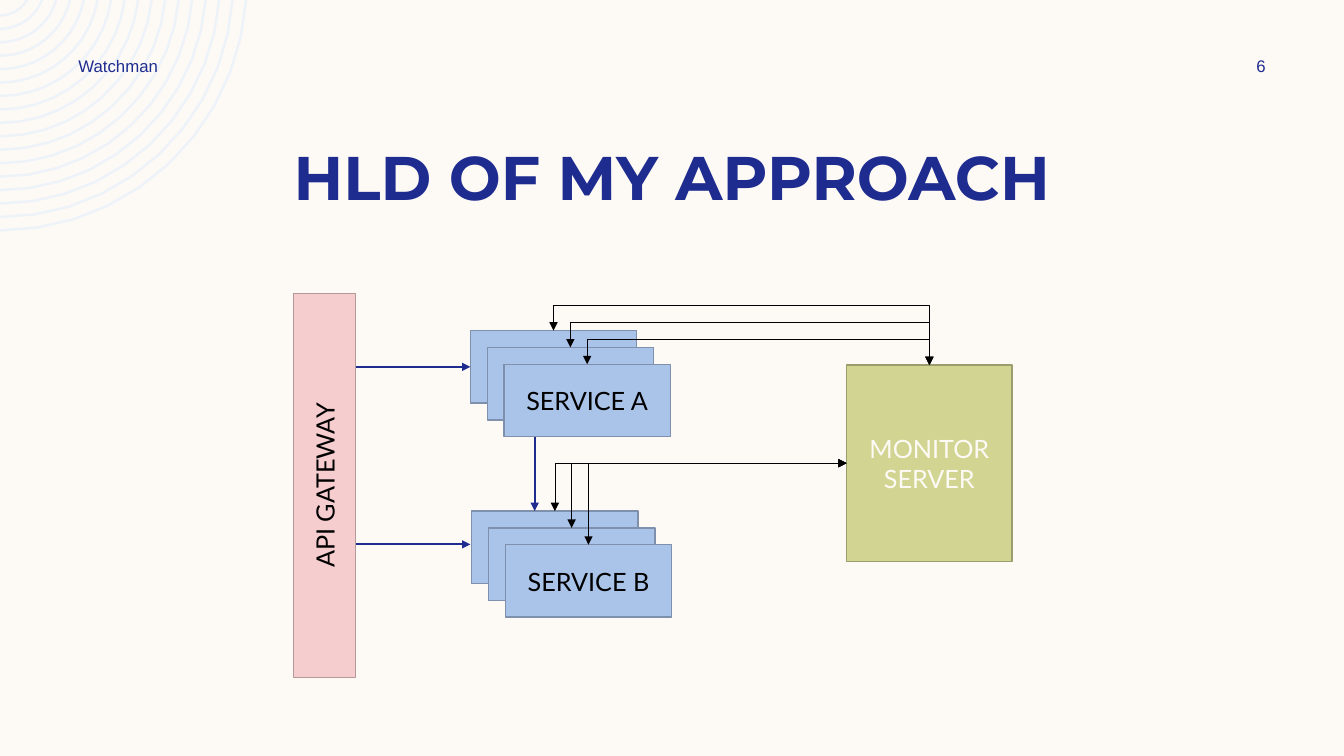
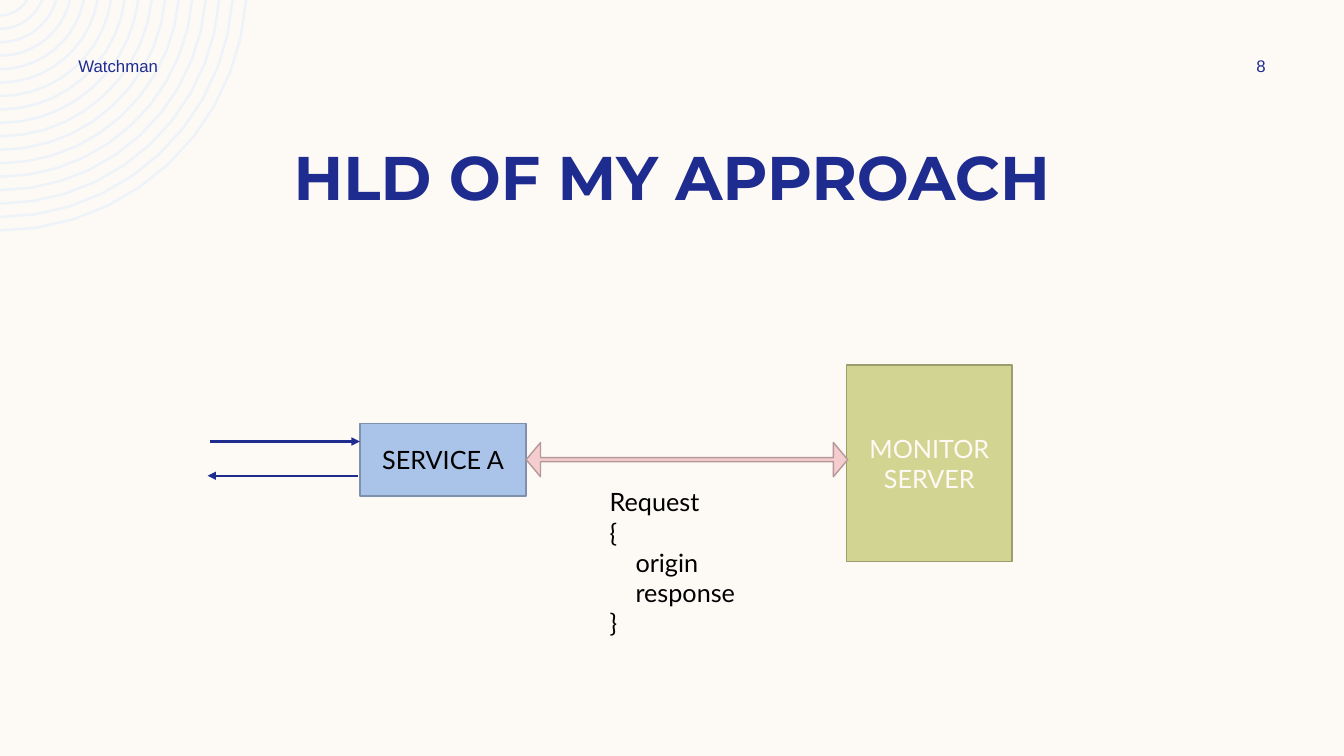
from dataclasses import dataclass
from math import asin, cos, pi, sin
from typing import Optional

from lxml import etree
from pptx import Presentation
from pptx import util as u
from pptx.dml.color import RGBColor
from pptx.enum import shapes, text
from pptx.oxml.ns import qn

COLUMNS, ROWS = 80, 45
CELL = u.Inches(1 / 6)


@dataclass(frozen=True)
class Theme:
    paper: str = "FDFAF6"
    navy: str = "1F2C8F"
    black: str = "000000"
    ring: str = "EEF3FA"
    pink: str = "F5CDCE"
    pink_edge: str = "B59898"
    blue: str = "AAC3E8"
    blue_edge: str = "7E90AC"
    olive: str = "D2D592"
    olive_edge: str = "9B9E6C"
    title_font: str = "Montserrat"
    header_font: str = "Arial"
    body_font: str = "Lato"
    title_size: float = 44
    header_size: float = 12
    body_size: float = 18
    edge: float = 1
    flow: float = 1.5
    thin: float = 0.5
    ring_line: float = 1.8


THEME = Theme()


@dataclass(frozen=True)
class Area:
    """Left, top, width and height in grid cells."""
    left: float
    top: float
    width: float
    height: float

    def lengths(self) -> tuple:
        return tuple(grid(n) for n in (self.left, self.top, self.width, self.height))


@dataclass(frozen=True)
class TextStyle:
    font: str
    size: float
    color: str
    bold: bool = False
    align: text.PP_ALIGN = text.PP_ALIGN.CENTER
    anchor: text.MSO_ANCHOR = text.MSO_ANCHOR.MIDDLE


@dataclass(frozen=True)
class Block:
    area: Area
    fill: str
    edge: str
    label: str = ""
    label_color: str = THEME.black
    kind: shapes.MSO_SHAPE = shapes.MSO_SHAPE.RECTANGLE


@dataclass(frozen=True)
class Flow:
    """A straight arrow between two grid points."""
    start: tuple
    end: tuple


@dataclass(frozen=True)
class Stack:
    label: str
    left: float
    top: float
    cards: int = 3
    step: float = 1


TITLE = "HLD OF MY APPROACH"
TITLE_AREA = Area(5, 8, 70, 5.04)
PROJECT_AREA = Area(4.08, 3, 21, 1.8)
NUMBER_AREA = Area(71.82, 3, 6.48, 1.8)
TITLE_STYLE = TextStyle(THEME.title_font, THEME.title_size, THEME.navy, True,
                        anchor=text.MSO_ANCHOR.TOP)
PROJECT_STYLE = TextStyle(THEME.header_font, THEME.header_size, THEME.navy,
                          align=text.PP_ALIGN.LEFT)
NUMBER_STYLE = TextStyle(THEME.header_font, THEME.header_size, THEME.navy)
REQUEST_STYLE = TextStyle(THEME.body_font, THEME.body_size, THEME.black,
                          align=text.PP_ALIGN.LEFT, anchor=text.MSO_ANCHOR.TOP)

RING_COUNT, RING_RADIUS, RING_PITCH = 17, 14.68, 0.8
RING_CENTER = -0.96
ARC_STEPS = 10

GATEWAY = Block(Area(17.46, 17.46, 3.72, 22.86), THEME.pink, THEME.pink_edge, "API GATEWAY")
MONITOR = Block(Area(50.4, 21.72, 9.84, 11.7), THEME.olive, THEME.olive_edge,
                "MONITOR SERVER", THEME.paper)
EXCHANGE = Block(Area(31.32, 26.34, 19.14, 2.04), THEME.pink, THEME.pink_edge,
                 kind=shapes.MSO_SHAPE.LEFT_RIGHT_ARROW)
STACK_A = Stack("SERVICE A", 28, 19.68)
STACK_B = Stack("SERVICE B", 28.08, 30.42)
GATEWAY_FLOWS = (
    Flow((21.18, 21.84), (28, 21.84)),
    Flow((21.18, 32.4), (28, 32.4)),
    Flow((31.83, 26), (31.83, 30.42)),
)
SERVICE_FLOWS = (
    Flow((12.48, 26.28), (21.42, 26.28)),
    Flow((21.3, 28.32), (12.36, 28.32)),
)
LOOP_RISE = 1.5
REQUEST_AREA = Area(35.7, 28.68, 9.84, 9.72)
REQUEST_LINES = ("Request", "{", "origin", "response", "}")
REQUEST_FIELDS = ("origin", "response")
FIELD_INDENT = 1.54


def grid(cells: float) -> int:
    return round(cells * CELL)


def rgb(color: str) -> RGBColor:
    return RGBColor.from_string(color)


def write(shape, content: str, style: TextStyle) -> None:
    frame = shape.text_frame
    frame.word_wrap = True
    frame.vertical_anchor = style.anchor
    frame.text = content
    for paragraph in frame.paragraphs:
        paragraph.alignment = style.align
        for run in paragraph.runs:
            run.font.name = style.font
            run.font.size = u.Pt(style.size)
            run.font.bold = style.bold
            run.font.color.rgb = rgb(style.color)


def add_text(slide, area: Area, content: str, style: TextStyle):
    shape = slide.shapes.add_textbox(*area.lengths())
    write(shape, content, style)
    return shape


def add_block(slide, block: Block):
    shape = slide.shapes.add_shape(block.kind, *block.area.lengths())
    shape.shadow.inherit = False
    shape.fill.solid()
    shape.fill.fore_color.rgb = rgb(block.fill)
    shape.line.color.rgb = rgb(block.edge)
    shape.line.width = u.Pt(THEME.edge)
    if block.label:
        write(shape, block.label,
              TextStyle(THEME.body_font, THEME.body_size, block.label_color))
    return shape


def service(left: float, top: float, label: str = "") -> Block:
    return Block(Area(left, top, 9.9, 4.32), THEME.blue, THEME.blue_edge, label)


def add_stack(slide, stack: Stack) -> list:
    """Draw overlapping cards from back to front; only the front one is labelled."""
    front = stack.cards - 1
    return [add_block(slide, service(stack.left + i * stack.step, stack.top + i * stack.step,
                                     stack.label if i == front else ""))
            for i in range(stack.cards)]


def style_connector(connector, color: str, width: float, both_ends: bool) -> None:
    connector.line.color.rgb = rgb(color)
    connector.line.width = u.Pt(width)
    line = connector.line._get_or_add_ln()
    for end in ("a:headEnd", "a:tailEnd") if both_ends else ("a:tailEnd",):
        etree.SubElement(line, qn(end), type="triangle")
    etree.SubElement(connector.element.spPr, qn("a:effectLst"))


def add_flow(slide, flow: Flow) -> None:
    ends = [grid(n) for n in flow.start + flow.end]
    connector = slide.shapes.add_connector(shapes.MSO_CONNECTOR.STRAIGHT, *ends)
    style_connector(connector, THEME.navy, THEME.flow, False)


def add_elbow(slide, start, start_site: int, end, end_site: int, width: float):
    connector = slide.shapes.add_connector(shapes.MSO_CONNECTOR.ELBOW, 0, 0, 0, 0)
    connector.begin_connect(start, start_site)
    connector.end_connect(end, end_site)
    style_connector(connector, THEME.black, width, True)
    return connector


def add_loop(slide, card, monitor) -> None:
    """Join two top edges by a line that rises above the card."""
    connector = add_elbow(slide, card, 0, monitor, 0, THEME.edge)
    across = connector.end_x - connector.begin_x
    down = max(connector.end_y - connector.begin_y, grid(0.06))
    middle_x = connector.begin_x + across // 2
    middle_y = connector.begin_y + down // 2
    connector.left, connector.top = middle_x - down // 2, middle_y - across // 2
    connector.width, connector.height = down, across
    transform = connector.element.spPr.find(qn("a:xfrm"))
    transform.attrib.pop("flipV", None)
    transform.set("rot", str(270 * 60000))
    transform.set("flipH", "1")
    bend = round(-grid(LOOP_RISE) / down * 100000)
    set_geometry(connector, "bentConnector3", bend)


def add_drop(slide, monitor, card) -> None:
    """Join the monitor's left edge to a card's top edge with a single bend."""
    connector = add_elbow(slide, monitor, 1, card, 0, THEME.thin)
    set_geometry(connector, "bentConnector2")


def set_geometry(connector, preset: str, bend: Optional[int] = None) -> None:
    geometry = connector.element.spPr.find(qn("a:prstGeom"))
    geometry.set("prst", preset)
    if bend is not None:
        guides = geometry.find(qn("a:avLst"))
        if guides is None:
            guides = etree.SubElement(geometry, qn("a:avLst"))
        etree.SubElement(guides, qn("a:gd"), name="adj1", fmla=f"val {bend}")


def arc(radius: float) -> list:
    """Points from the slide's top edge round to its left edge."""
    first = asin(-RING_CENTER / radius)
    angles = [first + (pi / 2 - first) * i / ARC_STEPS for i in range(ARC_STEPS + 1)]
    return [(grid(radius * cos(a)), grid(RING_CENTER + radius * sin(a))) for a in angles]


def add_rings(slide) -> None:
    arcs = [arc(RING_RADIUS - i * RING_PITCH) for i in range(RING_COUNT)]
    builder = slide.shapes.build_freeform(*arcs[0][0], scale=1.0)
    for points in arcs:
        builder.move_to(*points[0])
        builder.add_line_segments(points[1:], close=False)
    shape = builder.convert_to_shape()
    shape.shadow.inherit = False
    shape.fill.background()
    shape.line.color.rgb = rgb(THEME.ring)
    shape.line.width = u.Pt(THEME.ring_line)


def add_page(presentation, number: int):
    slide = presentation.slides.add_slide(presentation.slide_layouts[6])
    slide.background.fill.solid()
    slide.background.fill.fore_color.rgb = rgb(THEME.paper)
    add_rings(slide)
    add_text(slide, TITLE_AREA, TITLE, TITLE_STYLE)
    add_text(slide, PROJECT_AREA, "Watchman", PROJECT_STYLE)
    add_text(slide, NUMBER_AREA, str(number), NUMBER_STYLE)
    return slide


def add_overview(presentation) -> None:
    slide = add_page(presentation, 6)
    gateway = add_block(slide, GATEWAY)
    gateway.element.txBody.bodyPr.set("vert", "vert270")
    cards_a = add_stack(slide, STACK_A)
    cards_b = add_stack(slide, STACK_B)
    monitor = add_block(slide, MONITOR)
    for flow in GATEWAY_FLOWS:
        add_flow(slide, flow)
    for card in cards_a:
        add_loop(slide, card, monitor)
    for card in cards_b:
        add_drop(slide, monitor, card)


def add_request_detail(presentation) -> None:
    slide = add_page(presentation, 8)
    add_block(slide, service(21.42, 25.2, "SERVICE A"))
    add_block(slide, MONITOR)
    for flow in SERVICE_FLOWS:
        add_flow(slide, flow)
    request = add_text(slide, REQUEST_AREA, "\n".join(REQUEST_LINES), REQUEST_STYLE)
    for paragraph in request.text_frame.paragraphs:
        if paragraph.text in REQUEST_FIELDS:
            paragraph._p.get_or_add_pPr().set("marL", str(grid(FIELD_INDENT)))
    exchange = add_block(slide, EXCHANGE)
    exchange.adjustments[0], exchange.adjustments[1] = 0.12, 0.42


def main() -> None:
    presentation = Presentation()
    presentation.slide_width, presentation.slide_height = grid(COLUMNS), grid(ROWS)
    add_overview(presentation)
    add_request_detail(presentation)
    presentation.save("out.pptx")


if __name__ == "__main__":
    main()
